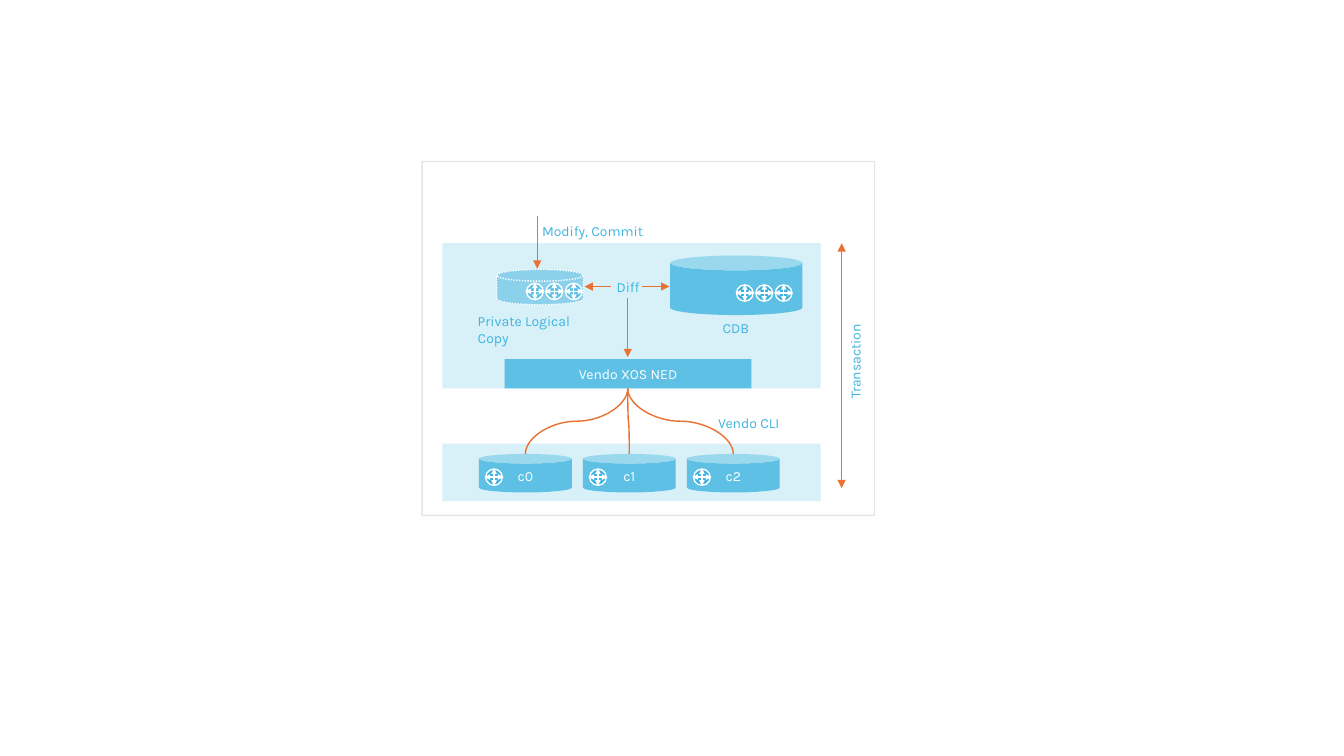
from dataclasses import dataclass

from pptx import Presentation
from pptx.dml.color import RGBColor
from pptx.enum.dml import MSO_LINE
from pptx.enum.shapes import MSO_CONNECTOR, MSO_SHAPE
from pptx.enum.text import MSO_ANCHOR, MSO_AUTO_SIZE, PP_ALIGN
from pptx.oxml.ns import qn
from pptx.util import Cm, Pt
from lxml.etree import SubElement

COLORS = {"blue": "3FB4E0", "orange": "E97132", "white": "FFFFFF", "grey": "808080"}
FONT = "Karla"
LABEL_HEIGHT = 0.69


@dataclass
class Box:
    left: float
    top: float
    width: float
    height: float

    def inner(self, x, y, width, height):
        return Box(self.left + x, self.top + y, width, height)

    def point(self, x, y):
        return self.left + x, self.top + y

    def lengths(self):
        return [Cm(n) for n in (self.left, self.top, self.width, self.height)]


def paint(color_format, name):
    color_format.rgb = RGBColor.from_string(COLORS[name])


def fade(parent, opacity):
    if opacity < 100:
        color = next(parent.iter(qn("a:srgbClr")))
        SubElement(color, qn("a:alpha")).set("val", str(opacity * 1000))


def write(frame, text, color):
    para = frame.paragraphs[0]
    para.text = text
    para.font.name, para.font.size = FONT, Pt(10)
    paint(para.font.color, color)
    return para


def add_block(shapes, kind, box, fill=None, opacity=100, line=None,
              line_opacity=100, text=""):
    block = shapes.add_shape(kind, *box.lengths())
    block.shadow.inherit = False
    properties = block.element.spPr
    if fill:
        block.fill.solid()
        paint(block.fill.fore_color, fill)
        fade(properties.find(qn("a:solidFill")), opacity)
    else:
        block.fill.background()
    if line:
        block.line.width = Pt(1)
        block.line.fill.solid()
        paint(block.line.fill.fore_color, line)
        fade(properties.find(qn("a:ln")), line_opacity)
    else:
        block.line.fill.background()
    if text:
        block.text_frame.vertical_anchor = MSO_ANCHOR.MIDDLE
        write(block.text_frame, text, "white").alignment = PP_ALIGN.CENTER
    return block


def add_label(shapes, box, text):
    label = shapes.add_textbox(*box.lengths())
    label.text_frame.word_wrap = True
    label.text_frame.auto_size = MSO_AUTO_SIZE.SHAPE_TO_FIT_TEXT
    write(label.text_frame, text, "blue")
    return label


def add_line(shapes, start, end, color="orange", heads=("tailEnd",),
             head_size="med", kind=MSO_CONNECTOR.STRAIGHT):
    link = shapes.add_connector(kind, *[Cm(n) for n in (*start, *end)])
    link.line.width = Pt(1)
    link.line.fill.solid()
    paint(link.line.fill.fore_color, color)
    properties = link.element.spPr
    for head in heads:
        SubElement(properties.find(qn("a:ln")), qn(f"a:{head}"),
                   type="triangle", w=head_size, len=head_size)
    SubElement(properties, qn("a:effectLst"))
    return link


def add_drop_curve(shapes, start, end):
    """Curve that leaves and arrives vertically: a sideways curve, turned."""
    (x1, y1), (x2, y2) = start, end
    middle_x, middle_y = (x1 + x2) / 2, (y1 + y2) / 2
    half_x, half_y = abs(x2 - x1) / 2, (y2 - y1) / 2
    side = 1 if x2 >= x1 else -1
    curve = add_line(shapes,
                     (middle_x + side * half_y, middle_y - half_x),
                     (middle_x - side * half_y, middle_y + half_x),
                     heads=(), kind=MSO_CONNECTOR.CURVE)
    degrees = 270 if side > 0 else 90
    curve.element.spPr.find(qn("a:xfrm")).set("rot", str(degrees * 60000))


def add_router(shapes, center, opacity=100):
    x, y = center
    router = shapes.add_group_shape().shapes
    add_block(router, MSO_SHAPE.OVAL, Box(x - 0.21, y - 0.2, 0.42, 0.41),
              "blue", opacity, "white")
    for dx, dy in ((0, 0.22), (0.24, 0)):
        add_line(router, (x - dx, y - dy), (x + dx, y + dy), "white",
                 ("headEnd", "tailEnd"), "sm")


def add_router_row(shapes, center, opacity=100):
    x, y = center
    for index in range(3):
        add_router(shapes, (x + index * 0.49, y), opacity)


def draw_system(shapes, box):
    add_block(shapes, MSO_SHAPE.RECTANGLE, box, "blue", 20)
    add_block(shapes, MSO_SHAPE.RECTANGLE, box.inner(1.57, 2.92, 6.22, 0.74),
              "blue", 80, text="Vendo XOS NED")

    # Private copy and configuration database
    private_copy = add_block(shapes, MSO_SHAPE.FLOWCHART_MAGNETIC_DISK,
                             box.inner(1.37, 0.66, 2.18, 0.89), "blue", 50, "white")
    private_copy.line.dash_style = MSO_LINE.ROUND_DOT
    add_block(shapes, MSO_SHAPE.CAN, box.inner(5.74, 0.31, 3.33, 1.5), "blue", 80)
    add_router_row(shapes, box.point(2.33, 1.21), 50)
    add_router_row(shapes, box.point(7.62, 1.25))

    # Labels
    for x, y, width, text in (
        (6.81, 1.8, 1.3, "CDB"),
        (0.64, 1.63, 3.63, "Private Logical Copy"),
        (4.14, 0.76, 1.3, "Diff"),
        (2.26, -0.66, 3.3, "Modify, Commit"),
    ):
        add_label(shapes, box.inner(x, y, width, LABEL_HEIGHT), text)

    # Arrows from Diff, then the incoming change
    for start, end in (
        ((5.03, 1.09), (5.72, 1.09)),
        ((4.24, 1.09), (3.58, 1.09)),
        ((4.67, 1.37), (4.67, 2.87)),
        ((2.39, -0.68), (2.39, 0.64)),
    ):
        add_line(shapes, box.point(*start), box.point(*end))


def draw_devices(shapes, box, source):
    add_block(shapes, MSO_SHAPE.RECTANGLE, box, "blue", 20)
    for index in range(3):
        device = box.inner(0.92 + index * 2.62, 0.26, 2.34, 0.97)
        add_block(shapes, MSO_SHAPE.CAN, device, "blue", 80, text=f"c{index}")
        add_drop_curve(shapes, source, device.point(device.width / 2, 0))
        add_router(shapes, device.point(0.38, 0.58))
    add_label(shapes, box.inner(6.7, -0.87, 2.7, LABEL_HEIGHT), "Vendo CLI")


def draw_transaction(shapes, box):
    add_line(shapes, box.point(0, 0), box.point(0, box.height),
             heads=("headEnd", "tailEnd"))
    label = add_label(shapes, box.inner(-0.91, 2.57, 2.51, LABEL_HEIGHT), "Transaction")
    label.rotation = 270


def main():
    deck = Presentation()
    deck.slide_width, deck.slide_height = Cm(33.87), Cm(19.05)
    page = deck.slides.add_slide(deck.slide_layouts[6])
    shapes = page.shapes

    frame = Box(10.64, 4.07, 11.4, 8.92)
    system = frame.inner(0.51, 2.06, 9.53, 3.66)
    add_block(shapes, MSO_SHAPE.RECTANGLE, frame, line="grey", line_opacity=20)
    draw_system(shapes, system)
    draw_devices(shapes, frame.inner(0.51, 7.11, 9.53, 1.45),
                 source=system.point(4.67, system.height))
    draw_transaction(shapes, frame.inner(10.57, 2.06, 0.7, 6.17))

    deck.save("out.pptx")


if __name__ == "__main__":
    main()
